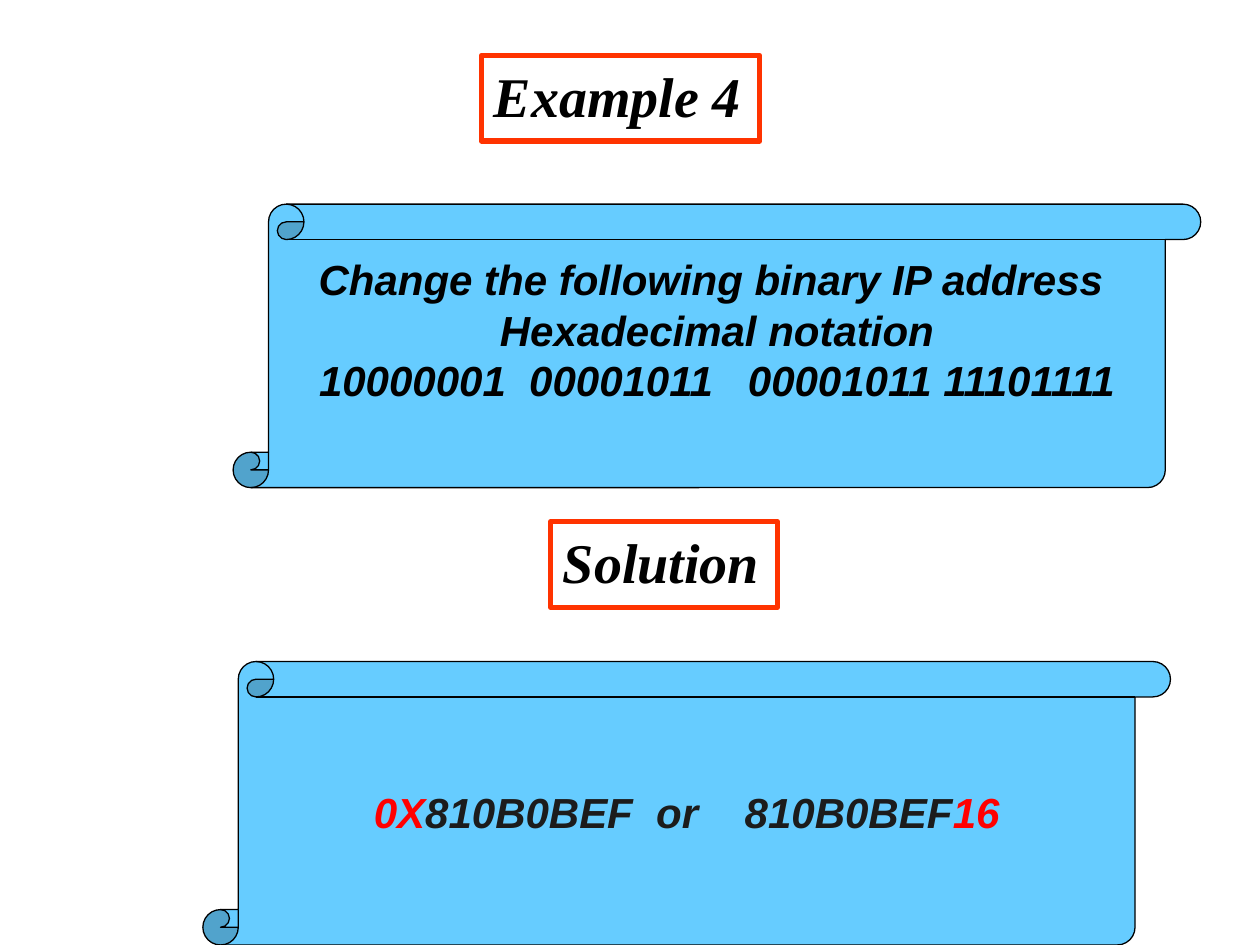
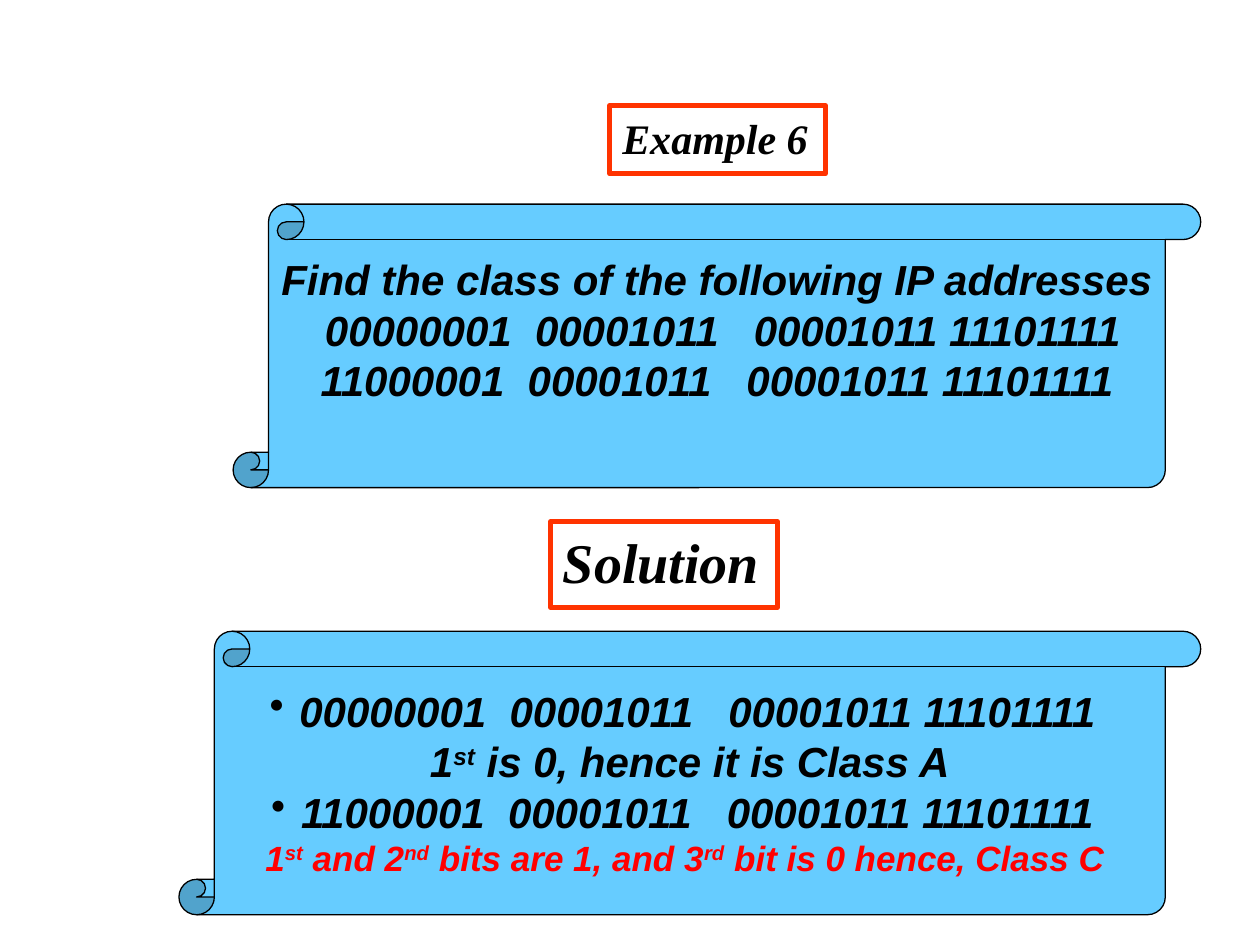
"""Builds two worked-example slides on IP addresses."""
from lxml.etree import SubElement
from pptx import Presentation
from pptx.dml.color import RGBColor
from pptx.enum.shapes import MSO_SHAPE
from pptx.enum.text import MSO_ANCHOR, MSO_AUTO_SIZE, PP_ALIGN
from pptx.oxml.ns import qn
from pptx.util import Emu, Pt

PX = 9144
COLORS = {"white": "FFFFFF", "black": "000000", "frame": "FF3300",
          "scroll": "66CCFF", "red": "FF0000", "dark": "1C1C1C"}
TITLE_FONT, BODY_FONT = "Times New Roman", "Arial"
INSET, LINE = 5, 40

SOLUTION = {"text": "Solution", "at": (437, 414, 180, 68), "size": 32}
QUESTION_AT = (185, 162, 768, 225)
CLASS_A = "00000001  00001011   00001011 11101111"
CLASS_C = "11000001  00001011   00001011 11101111"

SLIDES = [
    {
        "titles": [{"text": "Example 4", "at": (382, 44, 221, 68), "size": 32}, SOLUTION],
        "scrolls": [
            {"at": QUESTION_AT, "free_lines": 1, "lines": [
                {"runs": [("Change the following binary IP address ", "black")]},
                {"runs": [("Hexadecimal notation", "black")]},
                {"runs": [("10000001  00001011   00001011 11101111", "black")]},
            ]},
            {"at": (161, 525, 768, 225), "lines": [
                {"runs": [("0X", "red"), ("810B0BEF  or    810B0BEF", "dark"), ("16", "red")]},
            ]},
        ],
    },
    {
        "titles": [{"text": "Example 6", "at": (484, 84, 171, 54), "size": 24}, SOLUTION],
        "scrolls": [
            {"at": QUESTION_AT, "free_lines": 1, "lines": [
                {"runs": [("Find the class of the following IP addresses", "black")]},
                {"runs": [(" " + CLASS_A, "black")]},
                {"runs": [(CLASS_C, "black")]},
            ]},
            {"at": (142, 501, 811, 225), "lines": [
                {"bullet": True, "runs": [(CLASS_A, "black")]},
                {"runs": [("1", "black"), ("st", "black", "super"),
                          (" is 0, hence it is Class A", "black")]},
                {"bullet": True, "runs": [(CLASS_C, "black")]},
                {"size": 20, "runs": [
                    ("1", "red"), ("st", "red", "super"),
                    (" and 2", "red"), ("nd", "red", "super"),
                    (" bits are 1, and 3", "red"), ("rd", "red", "super"),
                    (" bit is 0 hence, Class C ", "red")]},
            ]},
        ],
    },
]


def rgb(name):
    return RGBColor.from_string(COLORS[name])


def add_box(s, kind, at, fill, line, width):
    sp = s.shapes.add_shape(kind, *(Emu(v * PX) for v in at))
    sp.shadow.inherit = False
    sp.fill.solid()
    sp.fill.fore_color.rgb = rgb(fill)
    sp.line.color.rgb = rgb(line)
    sp.line.width = Pt(width)
    sp.text_frame.word_wrap = False
    return sp


def add_run(p, text, font, size, color, position=None):
    r = p.add_run()
    r.text = text
    r.font.name = font
    r.font.size = Pt(size)
    r.font.bold = r.font.italic = True
    r.font.color.rgb = rgb(color)
    if position == "super":
        r.font._element.set("baseline", "30000")


def add_bullet(p):
    pPr = p._p.get_or_add_pPr()
    SubElement(pPr, qn("a:buFontTx"))
    SubElement(pPr, qn("a:buChar")).set("char", "•")


def add_title(s, text, at, size):
    tf = add_box(s, MSO_SHAPE.RECTANGLE, at, "white", "frame", 3).text_frame
    tf.auto_size = MSO_AUTO_SIZE.SHAPE_TO_FIT_TEXT
    tf.vertical_anchor = MSO_ANCHOR.TOP
    p = tf.paragraphs[0]
    p.alignment = PP_ALIGN.LEFT
    add_run(p, text, TITLE_FONT, size, "black")


def add_scroll(s, at, lines, free_lines=0):
    tf = add_box(s, MSO_SHAPE.VERTICAL_SCROLL, at, "scroll", "black", 0.75).text_frame
    tf.vertical_anchor = MSO_ANCHOR.MIDDLE
    tf.margin_bottom = Emu((INSET + free_lines * LINE) * PX)
    for i, line in enumerate(lines):
        p = tf.add_paragraph() if i else tf.paragraphs[0]
        p.alignment = PP_ALIGN.CENTER
        if line.get("bullet"):
            add_bullet(p)
        for text, *style in line["runs"]:
            add_run(p, text, BODY_FONT, line.get("size", 24), *style)


def main():
    prs = Presentation()
    prs.slide_width, prs.slide_height = Emu(1000 * PX), Emu(750 * PX)
    for content in SLIDES:
        s = prs.slides.add_slide(prs.slide_layouts[6])
        for title in content["titles"]:
            add_title(s, **title)
        for scroll in content["scrolls"]:
            add_scroll(s, **scroll)
    prs.save("out.pptx")


if __name__ == "__main__":
    main()
